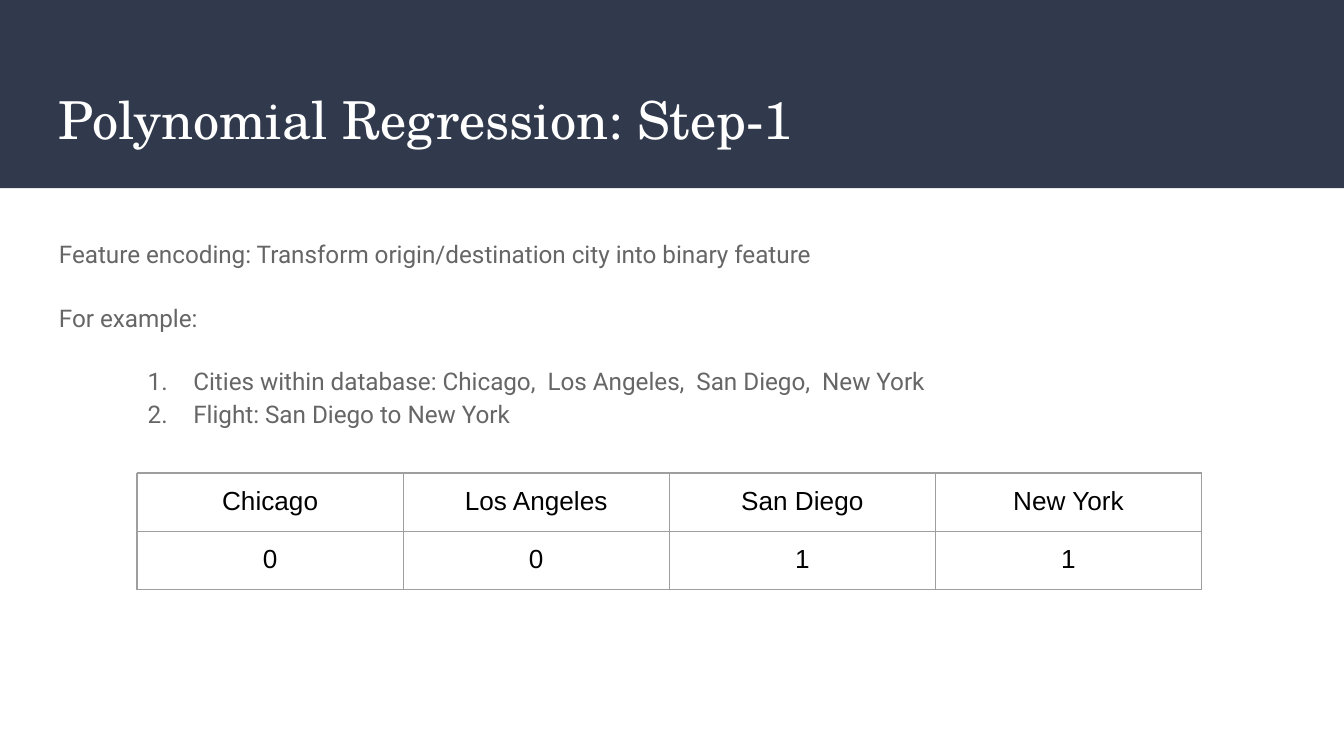
from lxml import etree
from pptx import Presentation
from pptx.dml.color import RGBColor
from pptx.enum.shapes import MSO_SHAPE
from pptx.enum.text import MSO_ANCHOR, PP_ALIGN
from pptx.oxml.ns import qn
from pptx.util import Inches, Pt

RECTANGLE = MSO_SHAPE.RECTANGLE
TOP = MSO_ANCHOR.TOP
CENTER = PP_ALIGN.CENTER

NAVY = RGBColor(0x31, 0x39, 0x4D)
WHITE = RGBColor(0xFF, 0xFF, 0xFF)
GRAY = RGBColor(0x66, 0x66, 0x66)
BLACK = RGBColor(0, 0, 0)
BORDER = RGBColor(0x9E, 0x9E, 0x9E)

# Content
TITLE = "Polynomial Regression: Step-1"
BODY = [  # text, space before in points, numbered
    ("Feature encoding: Transform origin/destination city into binary feature", 0, False),
    ("For example:", 16, False),
    ("Cities within database: Chicago,  Los Angeles,  San Diego,  New York", 16, True),
    ("Flight: San Diego to New York", 0, True),
]
ENCODING = [
    ("Chicago", "Los Angeles", "San Diego", "New York"),
    ("0", "0", "1", "1"),
]

# Formats
TITLE_FONT = {"name": "TeX Gyre Schola", "size": Pt(28)}
BODY_FONT = {"name": "Roboto", "size": Pt(13)}
CELL_FONT = {"name": "Arial", "size": Pt(14)}

# Layout: a 16:9 slide
WIDTH = Inches(10)
HEIGHT = WIDTH * 9 // 16
BAND_HEIGHT = Inches(1.4)
MARGIN = Inches(0.34)
INSET = Inches(0.1)
TABLE_LEFT, TABLE_TOP = Inches(1.02), Inches(3.52)
COLUMN_WIDTH, ROW_HEIGHT = Inches(1.98), Inches(0.42)


def add_run(paragraph, text, format_values, color):
    run = paragraph.add_run()
    run.text = text
    for name, value in format_values.items():
        setattr(run.font, name, value)
    run.font.color.rgb = color


def set_insets(target):
    for side in ("left", "right", "top", "bottom"):
        setattr(target, f"margin_{side}", INSET)


def add_text_frame(slide, top, height):
    box = slide.shapes.add_textbox(MARGIN, top, WIDTH - 2 * MARGIN, height)
    frame = box.text_frame
    frame.word_wrap = True
    frame.vertical_anchor = TOP
    set_insets(frame)
    return frame


def number_paragraph(paragraph):
    properties = paragraph._p.get_or_add_pPr()
    properties.set("marL", str(Inches(1)))
    properties.set("indent", str(-Inches(0.34)))
    bullet_color = etree.SubElement(properties, qn("a:buClr"))
    etree.SubElement(bullet_color, qn("a:srgbClr"), val=str(GRAY))
    etree.SubElement(properties, qn("a:buFont"), typeface=BODY_FONT["name"])
    etree.SubElement(properties, qn("a:buAutoNum"), type="arabicPeriod")


def add_borders(cell):
    properties = cell._tc.get_or_add_tcPr()
    for position, edge in enumerate(("lnL", "lnR", "lnT", "lnB")):
        line = etree.Element(qn(f"a:{edge}"), w=str(Pt(0.75)))
        fill = etree.SubElement(line, qn("a:solidFill"))
        etree.SubElement(fill, qn("a:srgbClr"), val=str(BORDER))
        properties.insert(position, line)


presentation = Presentation()
presentation.slide_width, presentation.slide_height = WIDTH, HEIGHT
slide = presentation.slides.add_slide(presentation.slide_layouts[6])

# Title band
band = slide.shapes.add_shape(RECTANGLE, 0, 0, WIDTH, BAND_HEIGHT)
band.shadow.inherit = False
band.fill.solid()
band.fill.fore_color.rgb = NAVY
band.line.fill.background()

# Title
frame = add_text_frame(slide, Inches(0.55), Inches(0.68))
add_run(frame.paragraphs[0], TITLE, TITLE_FONT, WHITE)

# Body with numbered items
frame = add_text_frame(slide, Inches(1.65), Inches(3.36))
for index, (text, space_before, numbered) in enumerate(BODY):
    paragraph = frame.add_paragraph() if index else frame.paragraphs[0]
    if numbered:
        number_paragraph(paragraph)
    paragraph.line_spacing = 1.15
    paragraph.space_before = Pt(space_before)
    add_run(paragraph, text, BODY_FONT, GRAY)

# City encoding table
row_count, column_count = len(ENCODING), len(ENCODING[0])
table = slide.shapes.add_table(
    row_count, column_count, TABLE_LEFT, TABLE_TOP,
    COLUMN_WIDTH * column_count, ROW_HEIGHT * row_count,
).table
table.first_row = table.horz_banding = False
for column in table.columns:
    column.width = COLUMN_WIDTH
for row, values in zip(table.rows, ENCODING):
    row.height = ROW_HEIGHT
    for cell, value in zip(row.cells, values):
        cell.fill.background()
        set_insets(cell)
        add_borders(cell)
        paragraph = cell.text_frame.paragraphs[0]
        paragraph.alignment = CENTER
        add_run(paragraph, value, CELL_FONT, BLACK)

presentation.save("out.pptx")
